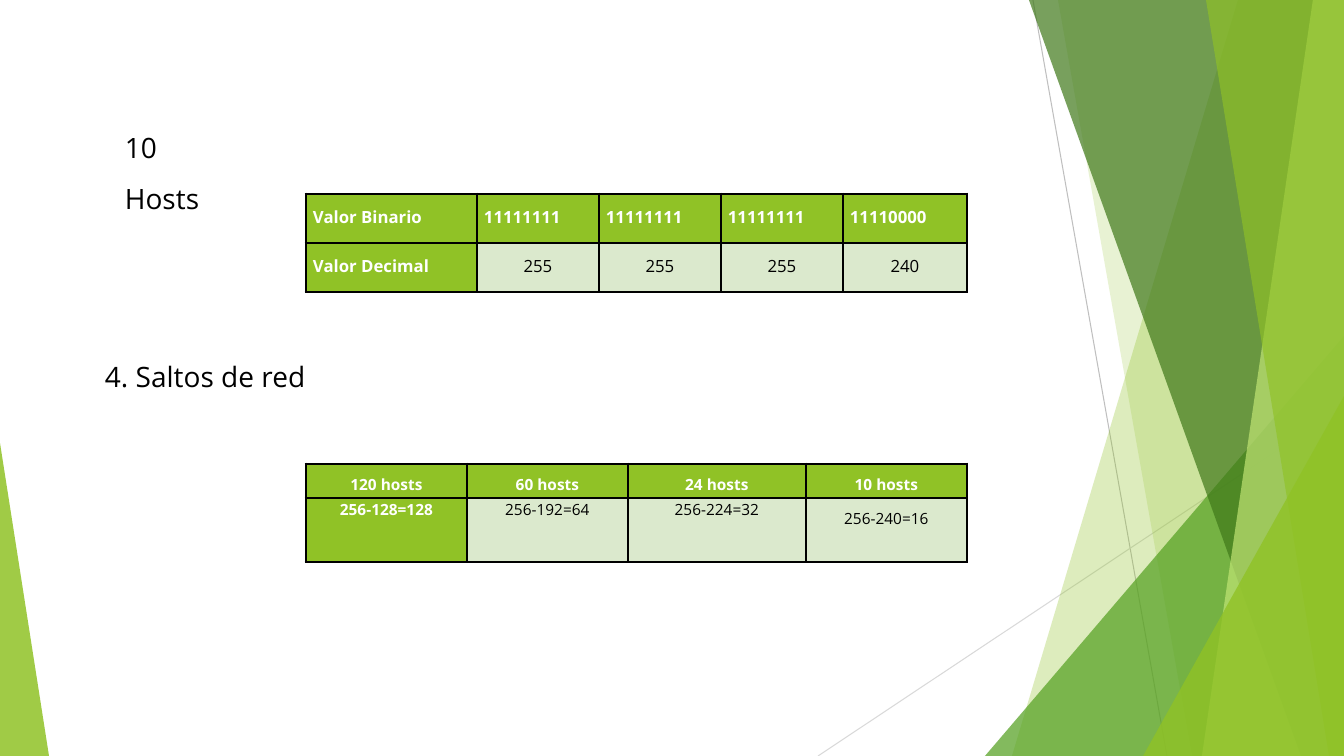
from dataclasses import dataclass

from pptx import Presentation
from pptx.dml.color import RGBColor
from pptx.enum.shapes import MSO_CONNECTOR, MSO_SHAPE
from pptx.enum.text import MSO_ANCHOR, PP_ALIGN
from pptx.oxml.ns import qn
from pptx.oxml.xmlchemy import OxmlElement as Element
from pptx.util import Emu, Pt

WIDTH, HEIGHT = 1344, 756
SCALE = 12192000 / WIDTH
FONT = "Open Sans"
GREEN, PALE, BLACK, WHITE = "90C226", "DBE9CD", "000000", "FFFFFF"


@dataclass
class Band:
    top_x: int
    bottom_x: int
    color: str
    alpha: int


@dataclass
class Triangle:
    x: int
    y: int
    w: int
    apex: int
    color: str
    alpha: int


@dataclass
class Ray:
    x1: int
    y1: int
    x2: int
    color: str


@dataclass
class Label:
    text: str
    x: int
    y: int
    w: int


@dataclass
class Cell:
    text: str
    heading: bool = False
    align: PP_ALIGN = PP_ALIGN.CENTER
    spacing: float = 1.5


@dataclass
class Grid:
    y: int
    size: int
    cols: list[int]
    heights: list[int]
    cells: list[list[Cell]]


def px(n: float) -> Emu:
    return Emu(round(n * SCALE))


def rgb(color: str) -> RGBColor:
    return RGBColor.from_string(color)


def style(sp, color: str, alpha: int) -> None:
    sp.shadow.inherit = False
    sp.fill.solid()
    sp.fill.fore_color.rgb = rgb(color)
    opacity = Element("a:alpha")
    opacity.set("val", str(alpha * 1000))
    sp._element.spPr.find(".//" + qn("a:srgbClr")).append(opacity)
    sp.line.fill.background()


def draw_band(s, b: Band) -> None:
    builder = s.shapes.build_freeform(b.top_x, 0, scale=SCALE)
    builder.add_line_segments([(WIDTH, 0), (WIDTH, HEIGHT), (b.bottom_x, HEIGHT)], close=True)
    style(builder.convert_to_shape(), b.color, b.alpha)


def draw_triangle(s, t: Triangle) -> None:
    sp = s.shapes.add_shape(MSO_SHAPE.ISOSCELES_TRIANGLE, px(t.x), px(t.y), px(t.w), px(HEIGHT - t.y))
    sp.adjustments[0] = t.apex
    style(sp, t.color, t.alpha)


def draw_ray(s, ray: Ray) -> None:
    line = s.shapes.add_connector(MSO_CONNECTOR.STRAIGHT, px(ray.x1), px(ray.y1), px(ray.x2), px(HEIGHT))
    line.line.color.rgb = rgb(ray.color)
    line.line.width = Pt(0.75)
    line._element.spPr.append(Element("a:effectLst"))


def write(tf, text: str, size: int, color: str, align: PP_ALIGN, spacing: float, bold: bool = False):
    tf.text = text
    p = tf.paragraphs[0]
    p.alignment = align
    p.line_spacing = spacing
    font = p.runs[0].font
    font.name, font.size, font.bold = FONT, Pt(size), bold
    font.color.rgb = rgb(color)
    return p


def draw_label(s, label: Label) -> None:
    tf = s.shapes.add_textbox(px(label.x), px(label.y), px(label.w), px(54)).text_frame
    tf.word_wrap = True
    write(tf, label.text, 20, BLACK, PP_ALIGN.JUSTIFY, 1.5).space_after = Pt(8)


def add_borders(cell) -> None:
    props = cell._tc.get_or_add_tcPr()
    for i, side in enumerate(("a:lnL", "a:lnR", "a:lnT", "a:lnB")):
        ln, fill, color = Element(side), Element("a:solidFill"), Element("a:srgbClr")
        ln.set("w", str(Pt(2.25)))
        color.set("val", BLACK)
        fill.append(color)
        ln.append(fill)
        props.insert(i, ln)


def draw_grid(s, grid: Grid) -> None:
    frame = s.shapes.add_table(len(grid.heights), len(grid.cols), px(306), px(grid.y),
                               px(sum(grid.cols)), px(sum(grid.heights)))
    table = frame.table
    for column, width in zip(table.columns, grid.cols):
        column.width = px(width)
    for i, height in enumerate(grid.heights):
        table.rows[i].height = px(height)
        for j, item in enumerate(grid.cells[i]):
            cell = table.cell(i, j)
            cell.margin_left = cell.margin_right = px(7)
            cell.margin_top = cell.margin_bottom = 0
            cell.vertical_anchor = MSO_ANCHOR.TOP
            cell.fill.solid()
            cell.fill.fore_color.rgb = rgb(GREEN if item.heading else PALE)
            write(cell.text_frame, item.text, grid.size, WHITE if item.heading else BLACK,
                  item.align, item.spacing, item.heading)
            add_borders(cell)


BACKDROP = [
    Ray(1033, 0, 1167, "BFBFBF"),
    Ray(1344, 406, 818, "D9D9D9"),
    Band(1238, 1012, GREEN, 30),
    Band(1058, 1192, GREEN, 20),
    Triangle(985, 336, 359, 1, "54A021", 72),
    Band(1029, 1301, "3F7819", 70),
    Band(1313, 1202, "C0E474", 70),
    Band(1206, 1329, GREEN, 65),
    Triangle(1143, 396, 201, 1, GREEN, 80),
    Triangle(0, 443, 49, 0, GREEN, 85),
]
MASK = [
    [Cell(t, True, PP_ALIGN.LEFT)
     for t in ("Valor Binario", "11111111", "11111111", "11111111", "11110000")],
    [Cell("Valor Decimal", True, PP_ALIGN.LEFT)] + [Cell(t) for t in ("255", "255", "255", "240")],
]
JUMPS = [
    [Cell(f"{n} hosts", True) for n in (120, 60, 24, 10)],
    [Cell("256-128=128", True, spacing=1.05), Cell("256-192=64", spacing=1.05),
     Cell("256-224=32", spacing=1.05), Cell("256-240=16")],
]
CONTENT = [
    Label("10 Hosts", 115, 109, 129),
    Grid(194, 12, [171, 122, 122, 122, 124], [49, 49], MASK),
    Label("4. Saltos de red", 95, 338, 237),
    Grid(464, 11, [161, 161, 178, 161], [34, 64], JUMPS),
]
DRAW = {Band: draw_band, Triangle: draw_triangle, Ray: draw_ray, Label: draw_label, Grid: draw_grid}

prs = Presentation()
prs.slide_width, prs.slide_height = px(WIDTH), px(HEIGHT)
s = prs.slides.add_slide(prs.slide_layouts[6])
for item in BACKDROP + CONTENT:
    DRAW[type(item)](s, item)
prs.save("out.pptx")
